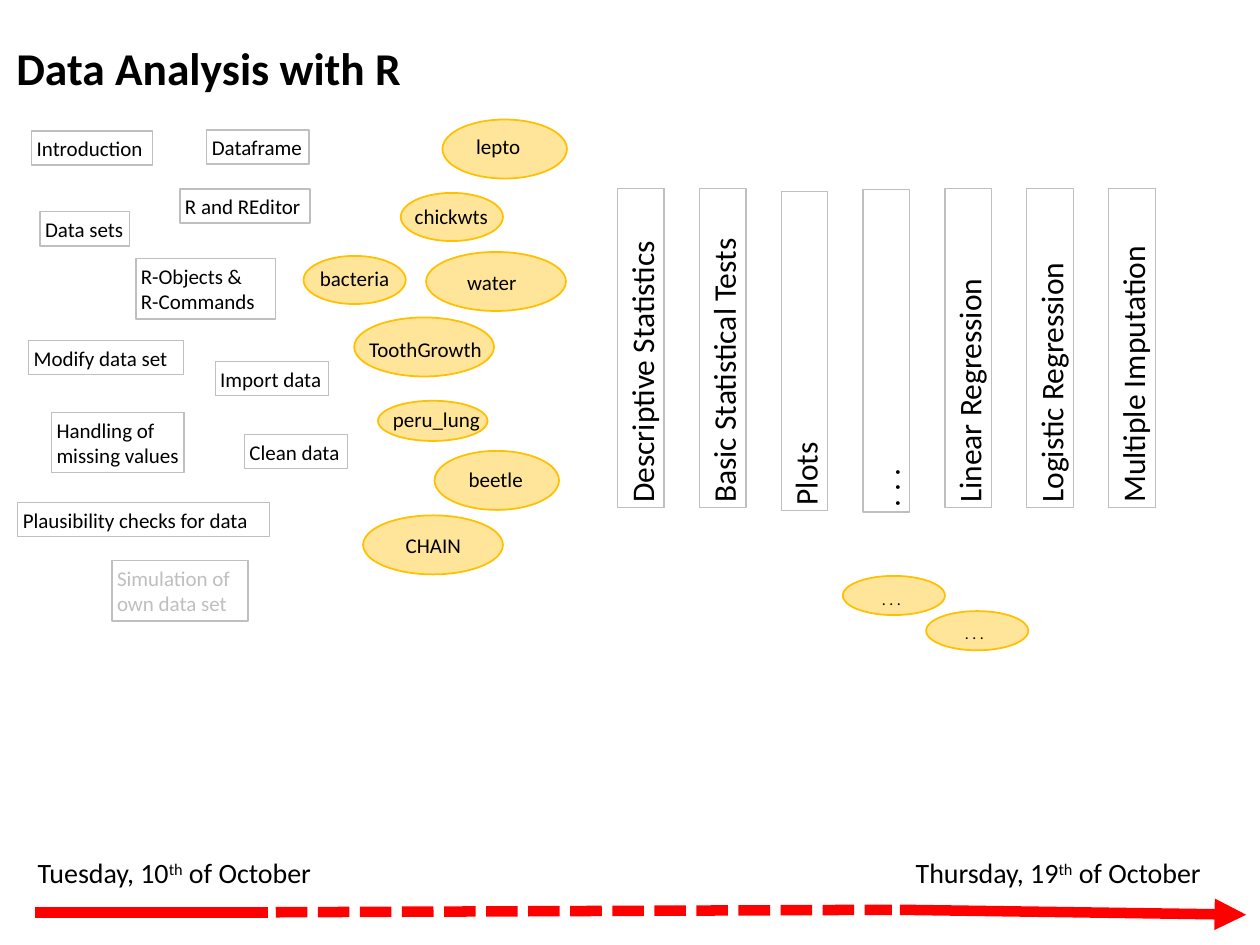
"""Build the course timeline slide for Data Analysis with R."""
from lxml.etree import SubElement
from pptx import Presentation
from pptx.dml.color import RGBColor
from pptx.enum.dml import MSO_LINE_DASH_STYLE as Dash
from pptx.enum.shapes import MSO_CONNECTOR_TYPE as Connector, MSO_SHAPE as Shape
from pptx.enum.text import MSO_ANCHOR as Anchor, PP_ALIGN as Align
from pptx.oxml.ns import qn
from pptx.util import Cm, Pt

GREY, GOLD, RED, BLACK = "BFBFBF", "FFC000", "FF0000", "000000"


def paint(target, color):
    if hasattr(target, "solid"):
        target.solid()
        target.fore_color.rgb = RGBColor.from_string(color)
    else:
        target.rgb = RGBColor.from_string(color)


def write(box, text, size=12, color=BLACK, bold=False):
    frame = box.text_frame
    frame.word_wrap = True
    frame.vertical_anchor = Anchor.TOP
    frame.margin_left = frame.margin_right = Cm(0.1)
    frame.margin_top = frame.margin_bottom = Cm(0.1)
    para = frame.paragraphs[0]
    para.alignment = Align.LEFT
    for row, line in enumerate(text.split("\n")):
        if row:
            para.add_line_break()
        for index, part in enumerate(line.split("^")):
            span = para.add_run()
            span.text = part
            span.font.name = "Calibri"
            span.font.size = Pt(size)
            span.font.bold = bold
            paint(span.font.color, color)
            if index % 2:
                span.font._element.set("baseline", "30000")


deck = Presentation()
deck.slide_width, deck.slide_height = Cm(25.4), Cm(19.05)
page = deck.slides.add_slide(deck.slide_layouts[6])

headings = [
    ("Data Analysis with R", 0.23, 0.71, 14.1, 1.3, 26, True),
    ("Tuesday, 10^th^ of October", 0.66, 17.15, 7.39, 0.86, 16, False),
    ("Thursday, 19^th^ of October", 18.36, 17.15, 7.39, 0.86, 16, False),
]
for text, left, top, width, height, size, bold in headings:
    box = page.shapes.add_textbox(Cm(left), Cm(top), Cm(width), Cm(height))
    write(box, text, size=size, bold=bold)

topics = [
    ("Introduction", 0.64, 2.64, 2.44, 0.69, BLACK),
    ("Dataframe", 4.17, 2.62, 2.06, 0.69, BLACK),
    ("R and REditor", 3.63, 3.81, 2.62, 0.69, BLACK),
    ("Data sets", 0.81, 4.27, 1.8, 0.69, BLACK),
    ("R-Objects &\nR-Commands", 2.74, 5.21, 2.82, 1.22, BLACK),
    ("Modify data set", 0.58, 6.86, 3.12, 0.69, BLACK),
    ("Import data", 4.34, 7.29, 2.29, 0.69, BLACK),
    ("Handling of missing values", 1.04, 8.31, 2.67, 1.22, BLACK),
    ("Clean data", 4.93, 8.76, 2.08, 0.69, BLACK),
    ("Plausibility checks for data", 0.36, 10.13, 5.08, 0.69, BLACK),
    ("Simulation of own data set", 2.26, 11.3, 2.74, 1.22, GREY),
]
methods = [
    ("Descriptive Statistics", 6.55, 6.43),
    ("Basic Statistical Tests", 6.55, 6.43),
    ("Plots", 6.6, 6.43),
    (". . .", 6.6, 6.5),
    ("Linear Regression", 6.55, 6.43),
    ("Logistic Regression", 6.55, 6.43),
    ("Multiple Imputation", 6.55, 6.43),
]
frames = [(*topic, 12, 0) for topic in topics]
for index, (text, top, length) in enumerate(methods):
    left = 12.92 + 1.65 * index - length / 2
    frames.append((text, left, top, length, 0.94, BLACK, 18, 270))
for text, left, top, width, height, color, size, angle in frames:
    box = page.shapes.add_shape(Shape.RECTANGLE, Cm(left), Cm(top), Cm(width), Cm(height))
    box.shadow.inherit = False
    box.rotation = angle
    box.fill.background()
    paint(box.line.fill, GREY)
    box.line.width = Pt(0.75)
    write(box, text, size=size, color=color)

datasets = [
    ("lepto", 8.92, 2.41, 2.51, 1.19, 9.5, 2.59, 12),
    ("chickwts", 8.08, 3.89, 2.06, 0.97, 8.26, 4.01, 12),
    ("bacteria", 6.12, 5.16, 2.06, 0.97, 6.35, 5.26, 12),
    ("water", 8.59, 5.08, 2.82, 1.19, 9.32, 5.33, 12),
    ("ToothGrowth", 7.14, 6.4, 2.82, 1.19, 7.34, 6.68, 12),
    ("peru_lung", 7.62, 8.08, 2.21, 0.81, 7.82, 8.1, 12),
    ("beetle", 8.76, 9.09, 2.51, 1.19, 9.35, 9.3, 12),
    ("CHAIN", 7.32, 10.39, 2.82, 1.19, 8.08, 10.64, 12),
    (". . .", 16.99, 11.61, 2.06, 0.79, 17.68, 11.79, 9),
    (". . .", 18.67, 12.32, 2.06, 0.79, 19.35, 12.47, 9),
]
for text, left, top, width, height, label_left, label_top, size in datasets:
    oval = page.shapes.add_shape(Shape.OVAL, Cm(left), Cm(top), Cm(width), Cm(height))
    oval.shadow.inherit = False
    paint(oval.fill, GOLD)
    tint = oval._element.spPr.find(qn("a:solidFill"))[0]
    SubElement(tint, qn("a:alpha")).set("val", "40000")
    paint(oval.line.fill, GOLD)
    oval.line.width = Pt(1)
    label_width = 2.59 if len(text) > 6 else 1.4 if size == 12 else 0.8
    label = page.shapes.add_textbox(
        Cm(label_left), Cm(label_top), Cm(label_width), Cm(0.69 if size == 12 else 0.56))
    write(label, text, size=size)

timeline = [
    (0.71, 18.39, 5.41, 18.39, None, False),
    (5.56, 18.39, 17.98, 18.34, Dash.SQUARE_DOT, False),
    (18.14, 18.34, 25.12, 18.44, None, True),
]
for start_x, start_y, end_x, end_y, dash, arrow in timeline:
    line = page.shapes.add_connector(
        Connector.STRAIGHT, Cm(start_x), Cm(start_y), Cm(end_x), Cm(end_y))
    paint(line.line.fill, RED)
    line.line.width = Pt(6)
    if dash:
        line.line.dash_style = dash
    if arrow:
        SubElement(line.line._get_or_add_ln(), qn("a:tailEnd")).set("type", "triangle")
    SubElement(line._element.spPr, qn("a:effectLst"))

deck.save("out.pptx")
